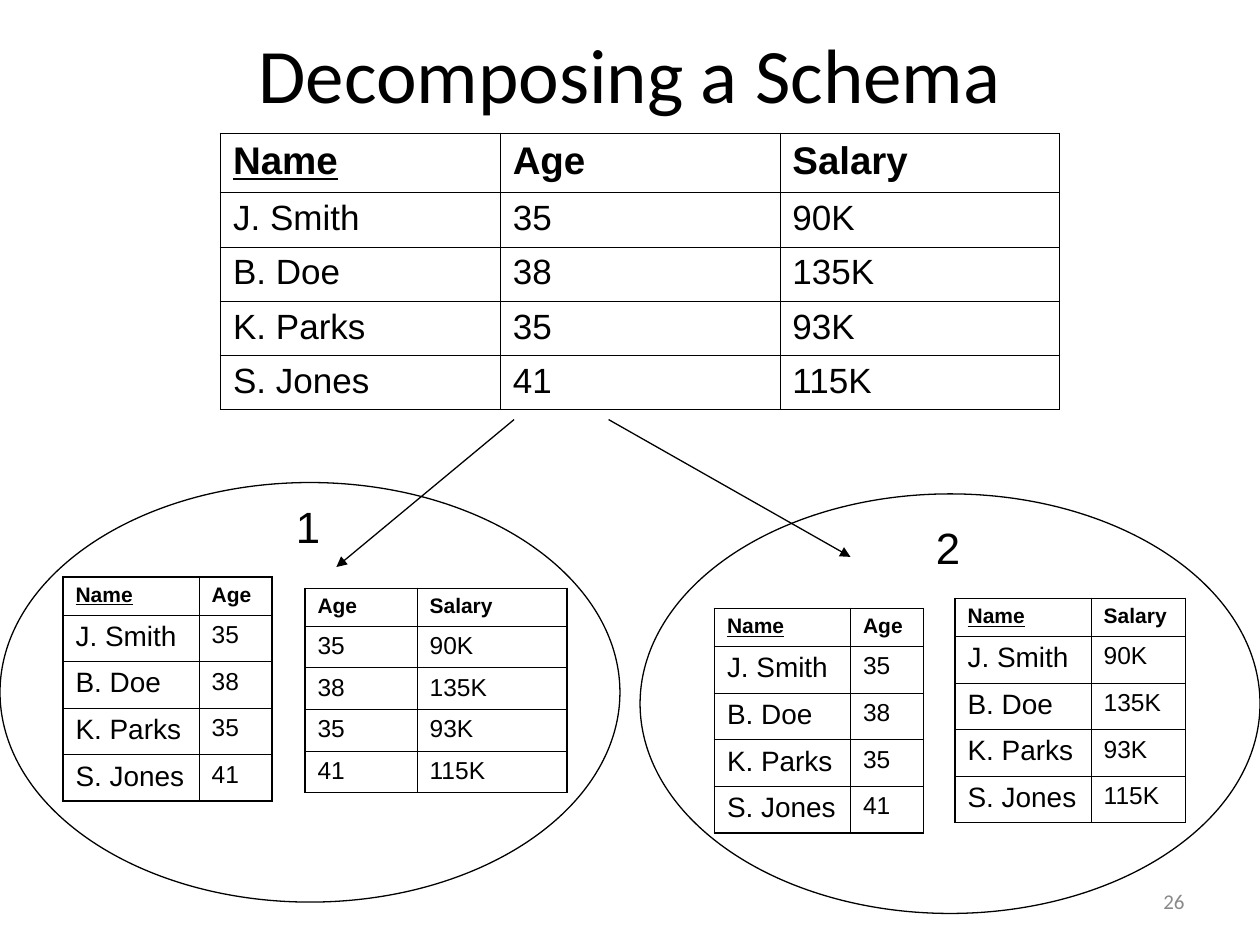
"""Builds a slide that decomposes a salary schema into two pairs of tables."""
from lxml import etree
from pptx import Presentation
from pptx.dml.color import RGBColor
from pptx.enum.shapes import MSO_CONNECTOR, MSO_SHAPE
from pptx.enum.text import MSO_ANCHOR, PP_ALIGN
from pptx.oxml import parse_xml
from pptx.oxml.ns import nsdecls, qn
from pptx.util import Inches, Pt

STRAIGHT = MSO_CONNECTOR.STRAIGHT
OVAL = MSO_SHAPE.OVAL
MIDDLE, TOP = MSO_ANCHOR.MIDDLE, MSO_ANCHOR.TOP
LEFT, CENTER, RIGHT = PP_ALIGN.LEFT, PP_ALIGN.CENTER, PP_ALIGN.RIGHT
BLACK, GRAY = "000000", "898989"
THICK, THIN = Pt(1.08), Pt(0.45)

PEOPLE = {
    "Name": ["J. Smith", "B. Doe", "K. Parks", "S. Jones"],
    "Age": ["35", "38", "35", "41"],
    "Salary": ["90K", "135K", "93K", "115K"],
}


def rgb(value):
    return RGBColor.from_string(value)


def style(p, size, font, color=BLACK, align=LEFT):
    p.alignment = align
    for r in p.runs:
        r.font.size = Pt(size)
        r.font.name = font
        r.font.color.rgb = rgb(color)


prs = Presentation()
prs.slide_width, prs.slide_height = Inches(10), Inches(7.5)
s = prs.slides.add_slide(prs.slide_layouts[6])

# left, top, header height, row height, header size, {column: (width, size)}
name, age = (1.08, 16), (0.58, 14)
tables = [
    (1.75, 1.06, 0.47, 0.43, 22, {"Name": (2.22, 20), "Age": (2.22, 20), "Salary": (2.22, 20)}),
    (0.5, 4.58, 0.3, 0.37, 12, {"Name": name, "Age": age}),
    (2.42, 4.67, 0.3, 0.33, 12, {"Age": (0.89, 14), "Salary": (1.19, 14)}),
    (5.67, 4.83, 0.3, 0.37, 12, {"Name": name, "Age": age}),
    (7.58, 4.75, 0.3, 0.37, 12, {"Name": name, "Salary": (0.75, 14)}),
]
for left, top, head_h, row_h, head_size, columns in tables:
    n_rows, n_cols = len(PEOPLE["Name"]) + 1, len(columns)
    width = sum(w for w, size in columns.values())
    height = head_h + row_h * (n_rows - 1)
    table = s.shapes.add_table(n_rows, n_cols, Inches(left), Inches(top),
                               Inches(width), Inches(height)).table
    table.horz_banding = False
    for i, row in enumerate(table.rows):
        row.height = Inches(row_h if i else head_h)
    for j, (title, (col_w, size)) in enumerate(columns.items()):
        table.columns[j].width = Inches(col_w)
        for i, text in enumerate([title] + PEOPLE[title]):
            cell = table.cell(i, j)
            cell.text = text
            p = cell.text_frame.paragraphs[0]
            style(p, size if i else head_size, "Arial")
            p.runs[0].font.bold = i == 0
            p.runs[0].font.underline = i == 0 and title == "Name"
            outer = {"L": j == 0, "R": j == n_cols - 1, "T": i == 0, "B": i == n_rows - 1}
            for side, edge in outer.items():
                cell._tc.get_or_add_tcPr().append(parse_xml(
                    f'<a:ln{side} {nsdecls("a")} w="{THICK if edge else THIN}"><a:solidFill>'
                    f'<a:srgbClr val="{BLACK}"/></a:solidFill></a:ln{side}>'))
            cell.fill.background()

for x1, y1, x2, y2 in [(4.08, 3.33, 2.67, 4.5), (4.83, 3.33, 6.75, 4.42)]:
    arrow = s.shapes.add_connector(STRAIGHT, Inches(x1), Inches(y1), Inches(x2), Inches(y2))
    arrow.line.color.rgb = rgb(BLACK)
    arrow.line.width = Pt(0.75)
    etree.SubElement(arrow.line._get_or_add_ln(), qn("a:tailEnd"), type="triangle")
    etree.SubElement(arrow._element.spPr, qn("a:effectLst"))

for left, top in [(0, 3.83), (5.08, 3.92)]:
    sp = s.shapes.add_shape(OVAL, Inches(left), Inches(top), Inches(4.92), Inches(3.33))
    sp.shadow.inherit = False
    sp.fill.background()
    sp.line.color.rgb = rgb(BLACK)
    sp.line.width = Pt(0.75)

texts = [
    ("Decomposing a Schema", 0.5, 0.08, 9, 1, 44, "Calibri", BLACK, CENTER, MIDDLE),
    ("1", 2.25, 3.92, 0.67, 0.52, 25, "Arial", BLACK, LEFT, TOP),
    ("2", 7.33, 4.08, 0.67, 0.52, 25, "Arial", BLACK, LEFT, TOP),
    ("26", 7.17, 6.95, 2.33, 0.4, 12, "Calibri", GRAY, RIGHT, MIDDLE),
]
for text, left, top, width, height, size, font, color, align, anchor in texts:
    sp = s.shapes.add_textbox(Inches(left), Inches(top), Inches(width), Inches(height))
    tf = sp.text_frame
    tf.word_wrap = True
    tf.vertical_anchor = anchor
    tf.text = text
    style(tf.paragraphs[0], size, font, color, align)

prs.save("out.pptx")
